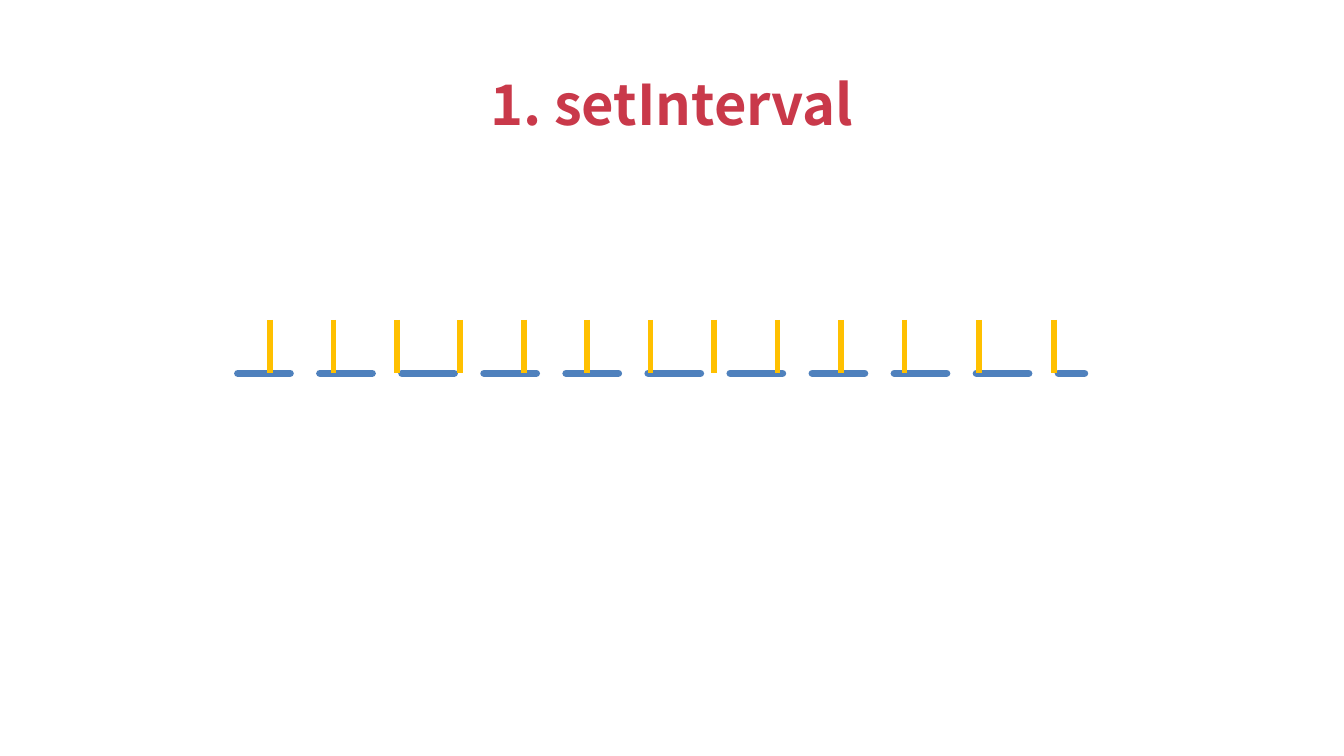
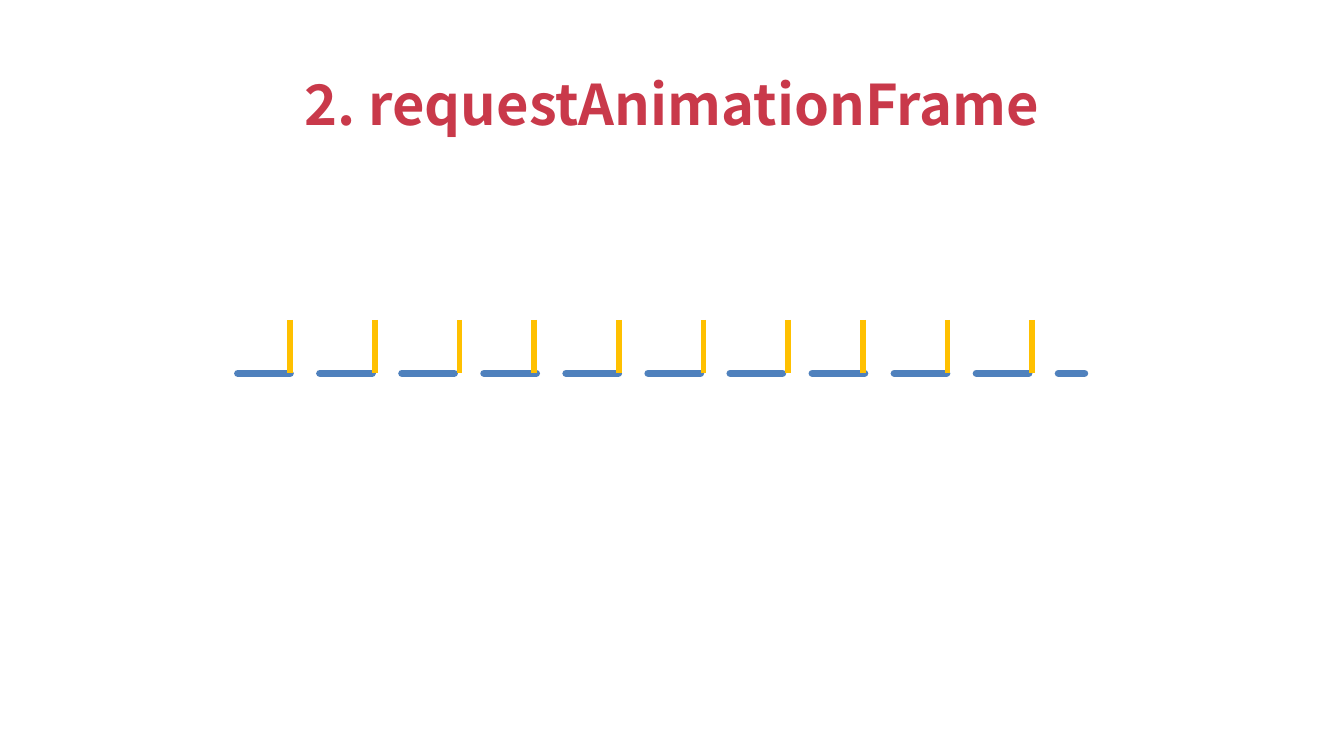
"""Compare the firing times of two JavaScript timers against screen frames."""
import dataclasses
import itertools

import lxml.etree
import pptx
import pptx.dml.color
import pptx.enum.dml
import pptx.enum.shapes
import pptx.enum.text
import pptx.util

Pt = pptx.util.Pt

TIMERS = [
    {"title": "1. setInterval", "title_width": 214, "first_tick": 144.6,
     "gaps": [34] * 10 + [40] * 2},
    {"title": "2. requestAnimationFrame", "title_width": 420, "first_tick": 155.5,
     "gaps": [45.36] * 2 + [40] + [45.36] * 3 + [40] + [45.36] * 2},
]


@dataclasses.dataclass(frozen=True)
class Theme:
    """Colours, type and line sizes shared by the slides."""
    title_color: str = "C9394A"
    frame_color: str = "4F81BD"
    tick_color: str = "FFC000"
    font: str = "Noto Sans CJK SC"
    title_size: float = 30
    frame_width: float = 4
    tick_width: float = 3


THEME = Theme()
SLIDE_WIDTH, SLIDE_HEIGHT = 720, 405
TITLE_TOP, TITLE_HEIGHT = 33.8, 43.9
AXIS_LEFT, AXIS_RIGHT, AXIS_Y = 127.4, 581, 200
TICK_TOP, TICK_BOTTOM = 171.4, 199.6


def rgb(color):
    """Turn a hex string into a colour."""
    return pptx.dml.color.RGBColor.from_string(color)


def add_line(shapes, start, end, color, width):
    """Draw a straight line without a shadow."""
    line = shapes.add_connector(pptx.enum.shapes.MSO_CONNECTOR.STRAIGHT,
                                *(Pt(value) for value in (*start, *end)))
    line.line.color.rgb = rgb(color)
    line.line.width = Pt(width)
    lxml.etree.SubElement(line._element.spPr, pptx.oxml.ns.qn("a:effectLst"))
    return line


def set_title(slide, text, width):
    """Fill the title placeholder and centre it on the slide."""
    title = slide.shapes.title
    title.left, title.top = Pt((SLIDE_WIDTH - width) / 2), Pt(TITLE_TOP)
    title.width, title.height = Pt(width), Pt(TITLE_HEIGHT)
    frame = title.text_frame
    frame.text = text
    frame.word_wrap = False
    frame.auto_size = pptx.enum.text.MSO_AUTO_SIZE.SHAPE_TO_FIT_TEXT
    frame.vertical_anchor = pptx.enum.text.MSO_ANCHOR.TOP
    paragraph = frame.paragraphs[0]
    paragraph.alignment = pptx.enum.text.PP_ALIGN.CENTER
    font = paragraph.runs[0].font
    font.name, font.size, font.bold = THEME.font, Pt(THEME.title_size), True
    font.color.rgb = rgb(THEME.title_color)


def add_timeline(slide, first_tick, gaps):
    """Draw the dashed frame axis with one tick per timer call."""
    shapes = slide.shapes.add_group_shape().shapes
    axis = add_line(shapes, (AXIS_LEFT, AXIS_Y), (AXIS_RIGHT, AXIS_Y),
                    THEME.frame_color, THEME.frame_width)
    axis.line.dash_style = pptx.enum.dml.MSO_LINE.LONG_DASH
    axis.line._get_or_add_ln().set("cap", "rnd")
    for x in itertools.accumulate(gaps, initial=first_tick):
        add_line(shapes, (x, TICK_TOP), (x, TICK_BOTTOM),
                 THEME.tick_color, THEME.tick_width)


def main():
    """Build and save the presentation."""
    presentation = pptx.Presentation()
    presentation.slide_width = Pt(SLIDE_WIDTH)
    presentation.slide_height = Pt(SLIDE_HEIGHT)
    title_only = presentation.slide_layouts.get_by_name("Title Only")
    for timer in TIMERS:
        slide = presentation.slides.add_slide(title_only)
        set_title(slide, timer["title"], timer["title_width"])
        add_timeline(slide, timer["first_tick"], timer["gaps"])
    presentation.save("out.pptx")


if __name__ == "__main__":
    main()
